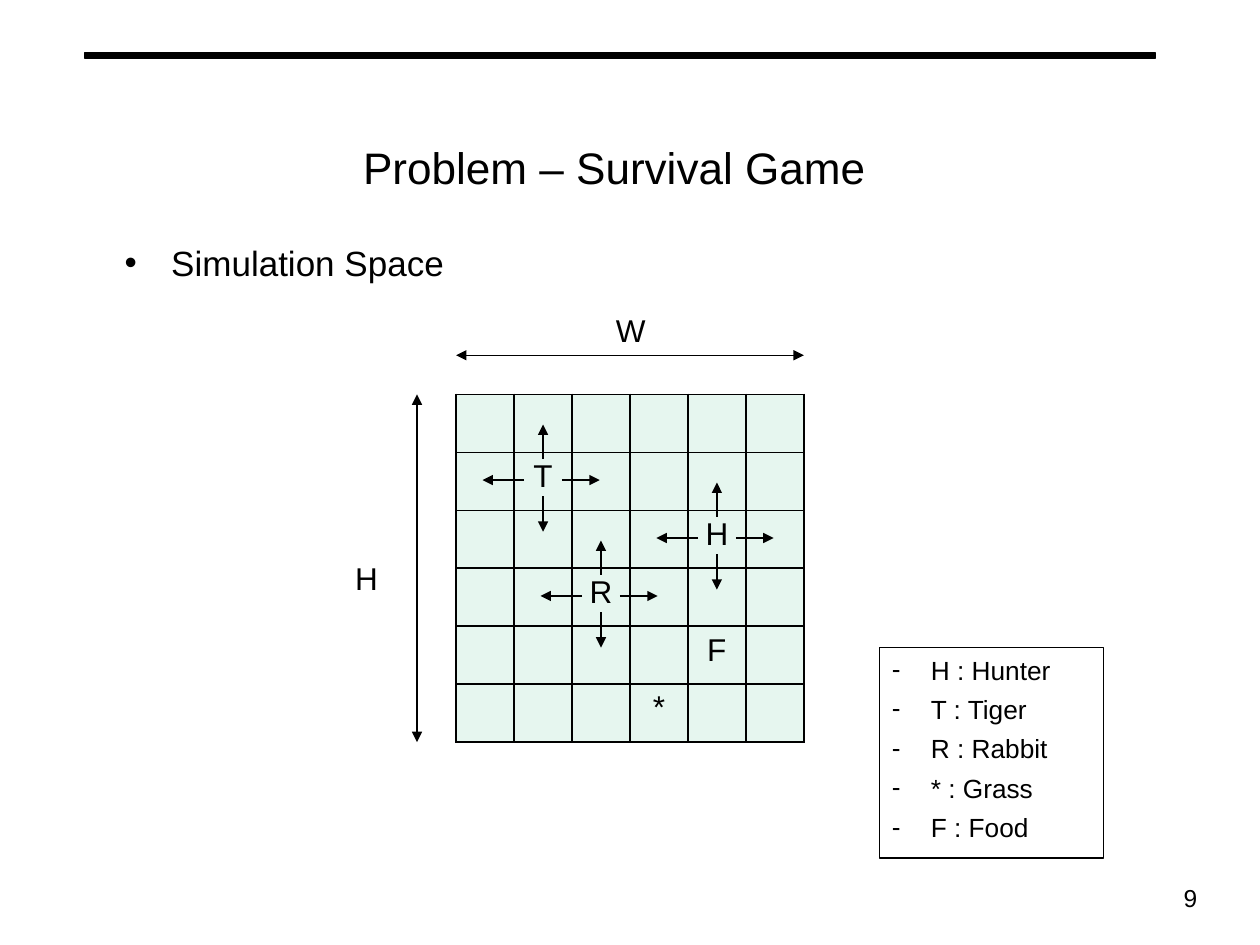
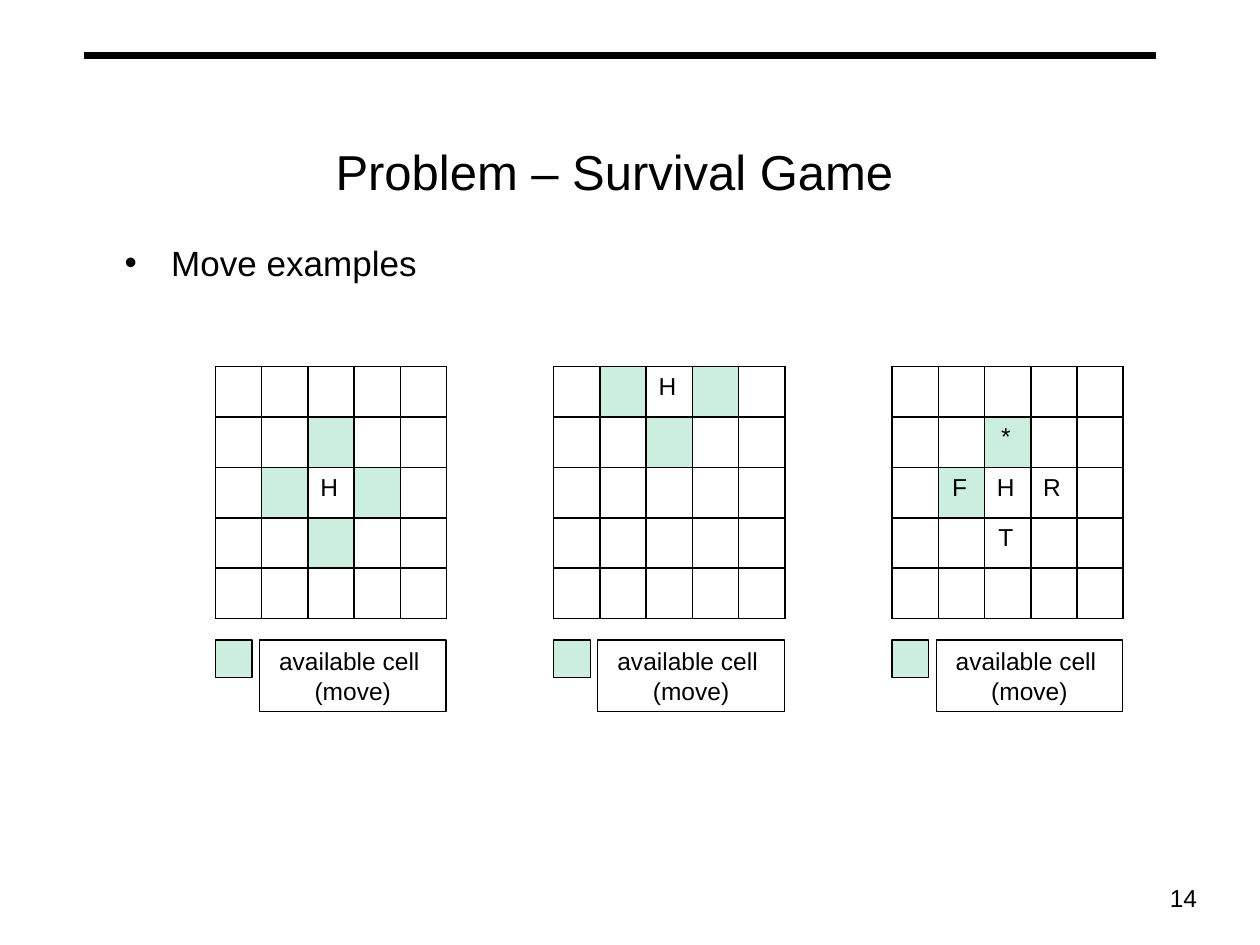
from dataclasses import dataclass

from lxml import etree
from pptx import Presentation
from pptx.dml.color import RGBColor
from pptx.enum.shapes import MSO_CONNECTOR, MSO_SHAPE
from pptx.enum.text import MSO_ANCHOR, PP_ALIGN
from pptx.oxml.ns import qn
from pptx.util import Inches, Pt

LEFT, CENTER, RIGHT = PP_ALIGN.LEFT, PP_ALIGN.CENTER, PP_ALIGN.RIGHT
TOP, MIDDLE = MSO_ANCHOR.TOP, MSO_ANCHOR.MIDDLE
RECTANGLE, STRAIGHT = MSO_SHAPE.RECTANGLE, MSO_CONNECTOR.STRAIGHT
BLANK_LAYOUT = 6


@dataclass(frozen=True)
class Theme:
    font: str = "Arial"
    ink: str = "000000"
    paper: str = "FFFFFF"
    space: str = "E6F6EF"
    available: str = "CCEEDF"
    topic_size: float = 20
    label_size: float = 18
    legend_size: float = 15
    small_size: float = 14
    line: float = 0.75
    border: float = 1
    tall_spacing: float = 2.36


THEME = Theme()


def color(value):
    return RGBColor.from_string(value)


# Text
def add_bullet(para, mark, indent):
    properties = para._p.get_or_add_pPr()
    properties.set("marL", str(Inches(indent)))
    properties.set("indent", str(-Inches(indent)))
    etree.SubElement(properties, qn("a:buFont")).set("typeface", THEME.font)
    etree.SubElement(properties, qn("a:buChar")).set("char", mark)


def write(frame, lines, size, bullet=None, gap=0, **formats):
    """Fill a text frame; formats are paragraph attributes."""
    for index, line in enumerate(lines):
        para = frame.paragraphs[0] if index == 0 else frame.add_paragraph()
        span = para.add_run()
        span.text = line
        span.font.name, span.font.size = THEME.font, Pt(size)
        span.font.color.rgb = color(THEME.ink)
        for name, value in formats.items():
            setattr(para, name, value)
        if index and gap:
            para.space_before = Pt(gap)
        if bullet:
            add_bullet(para, *bullet)


def add_text(page, place, lines, size, anchor=TOP, **formats):
    box = page.shapes.add_textbox(*map(Inches, place))
    box.text_frame.word_wrap = True
    box.text_frame.vertical_anchor = anchor
    write(box.text_frame, lines, size, **formats)


# Shapes and lines
def add_box(page, place, fill=None):
    box = page.shapes.add_shape(RECTANGLE, *map(Inches, place))
    box.shadow.inherit = False
    if fill:
        box.fill.solid()
        box.fill.fore_color.rgb = color(fill)
    else:
        box.fill.background()
    box.line.color.rgb = color(THEME.ink)
    box.line.width = Pt(THEME.line)
    box.text_frame.vertical_anchor = TOP
    return box


def add_arrow(page, start, end, both_ends=False):
    arrow = page.shapes.add_connector(STRAIGHT, *map(Inches, (*start, *end)))
    arrow.line.color.rgb = color(THEME.ink)
    arrow.line.width = Pt(THEME.line)
    line = arrow.line._get_or_add_ln()
    for tag in ("a:headEnd", "a:tailEnd") if both_ends else ("a:tailEnd",):
        etree.SubElement(line, qn(tag)).set("type", "triangle")
    etree.SubElement(arrow._element.spPr, qn("a:effectLst"))


def add_move_arrows(page, x, y):
    """Four arrows leading out of the cell centred at x, y."""
    for start, end in (((0, -0.18), (0, -0.45)), ((0, 0.12), (0, 0.4)),
                       ((-0.15, -0.01), (-0.48, -0.01)),
                       ((0.15, -0.01), (0.45, -0.01))):
        add_arrow(page, (x + start[0], y + start[1]), (x + end[0], y + end[1]))


# Grids
def add_borders(cell):
    properties = cell._tc.get_or_add_tcPr()
    for side in ("L", "R", "T", "B"):
        line = etree.SubElement(properties, qn(f"a:ln{side}"))
        line.set("w", str(Pt(THEME.border)))
        fill = etree.SubElement(line, qn("a:solidFill"))
        etree.SubElement(fill, qn("a:srgbClr")).set("val", THEME.ink)


def add_grid(page, left, top, count, cell_size, pieces, size, fill,
             available=(), margins=(0.05, 0.05)):
    """Square grid; pieces maps (row, column) to a letter."""
    width, height = cell_size
    grid = page.shapes.add_table(
        count, count, Inches(left), Inches(top),
        Inches(count * width), Inches(count * height)).table
    grid.first_row = grid.horz_banding = False
    for column in grid.columns:
        column.width = Inches(width)
    for row in grid.rows:
        row.height = Inches(height)
    for row in range(count):
        for column in range(count):
            cell = grid.cell(row, column)
            add_borders(cell)
            cell.fill.solid()
            is_available = (row, column) in available
            cell.fill.fore_color.rgb = color(
                THEME.available if is_available else fill)
            cell.margin_left, cell.margin_right = map(Inches, margins)
            if (row, column) in pieces:
                write(cell.text_frame, [pieces[row, column]], size,
                      alignment=CENTER)
            else:
                cell.text_frame.paragraphs[0].font.size = Pt(size)


# Parts shared by the slides
def add_page(deck, number, title_size, topic):
    page = deck.slides.add_slide(deck.slide_layouts[BLANK_LAYOUT])
    add_box(page, (0.67, 0.42, 8.5, 0.04), THEME.ink)
    add_text(page, (7.53, 6.88, 2.07, 0.49), [str(number)], THEME.small_size,
             MIDDLE, alignment=RIGHT)
    add_text(page, (0.67, 0.53, 8.41, 1.02), ["Problem – Survival Game"],
             title_size, MIDDLE, alignment=CENTER,
             line_spacing=THEME.tall_spacing)
    add_text(page, (0.89, 1.77, 8.18, 5.05), [topic], THEME.topic_size,
             bullet=("•", 0.37), line_spacing=1.3)
    return page


def build_space_page(deck):
    page = add_page(deck, 9, 25.2, "Simulation Space")
    left, top, count, side = 3.62, 3.13, 6, 0.46
    pieces = {(1, 1): "T", (2, 4): "H", (3, 2): "R", (4, 4): "F", (5, 3): "*"}
    add_grid(page, left, top, count, (side, side), pieces, THEME.label_size,
             THEME.space)

    # Width and height of the space
    extent = count * side
    add_arrow(page, (left, 2.82), (left + extent, 2.82), both_ends=True)
    add_arrow(page, (3.31, top), (3.31, top + extent), both_ends=True)
    for label, x, y in (("W", 4.79, 2.11), ("H", 2.72, 4.08)):
        add_text(page, (x, y, 0.42, 0.61), [label], THEME.label_size, MIDDLE,
                 line_spacing=THEME.tall_spacing)

    # Pieces that move
    for (row, column), piece in pieces.items():
        if piece in "THR":
            add_move_arrows(page, left + (column + 0.5) * side,
                            top + (row + 0.5) * side)

    # Legend
    legend = add_box(page, (6.98, 5.14, 1.78, 1.67))
    write(legend.text_frame,
          ["H : Hunter", "T : Tiger", "R : Rabbit", "* : Grass", "F : Food"],
          THEME.legend_size, bullet=("-", 0.31), gap=4.5, alignment=LEFT)


def build_moves_page(deck):
    page = add_page(deck, 14, 28, "Move examples")
    examples = (
        ({(2, 2): "H"}, {(1, 2), (2, 1), (2, 3), (3, 2)}),
        ({(0, 2): "H"}, {(0, 1), (0, 3), (1, 2)}),
        ({(1, 2): "*", (2, 1): "F", (2, 2): "H", (2, 3): "R", (3, 2): "T"},
         {(1, 2), (2, 1)}),
    )
    for index, (pieces, available) in enumerate(examples):
        left = 1.71 + index * 2.685
        add_grid(page, left, 2.91, 5, (0.367, 0.4), pieces, THEME.small_size,
                 THEME.paper, available, margins=(0.05, 0.08))
        add_box(page, (left, 5.08, 0.29, 0.3), THEME.available)
        key = add_box(page, (left + 0.35, 5.08, 1.48, 0.57))
        write(key.text_frame, ["available cell ", "(move)"], THEME.small_size,
              alignment=CENTER)


def main():
    deck = Presentation()
    deck.slide_width, deck.slide_height = Inches(10), Inches(7.5)
    build_space_page(deck)
    build_moves_page(deck)
    deck.save("out.pptx")


if __name__ == "__main__":
    main()
